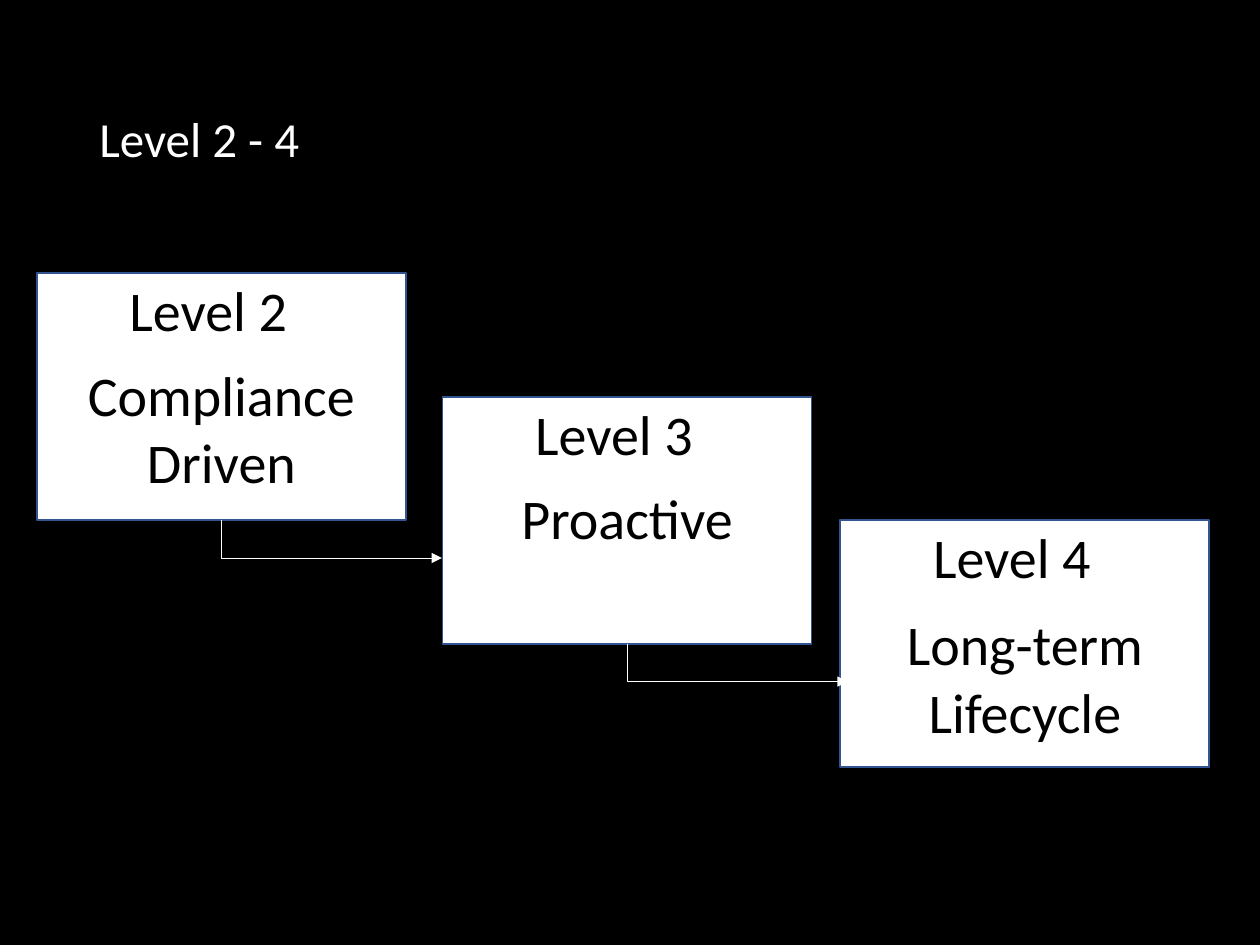
from lxml.etree import SubElement
from pptx import Presentation
from pptx.dml.color import RGBColor
from pptx.enum.shapes import MSO_CONNECTOR as Link, MSO_SHAPE as Shape
from pptx.enum.text import MSO_ANCHOR as Anchor, PP_ALIGN as Align
from pptx.oxml.ns import qn
from pptx.util import Cm, Pt

BOX_WIDTH, BOX_HEIGHT = 7.44, 4.98
FIRST_TOP = 5.51
ARROW_WIDTH, ARROW_DROP = 4.45, 0.76
LEVELS = [
    ("Level 2", "Compliance Driven", 0.74, 1.63, 3),
    ("Level 3", "Proactive", 8.92, 1.63, 1.63),
    ("Level 4", "Long-term Lifecycle", 16.94, 1.68, 3),
]


def color(hex_text):
    return RGBColor.from_string(hex_text)


def write(frame, text, size=32, ink="000000", font="Calibri",
          align=Align.LEFT, anchor=Anchor.TOP, spacing=None):
    frame.word_wrap = True
    frame.vertical_anchor = anchor
    para = frame.paragraphs[0]
    para.alignment = align
    para.line_spacing = spacing
    span = para.add_run()
    span.text = text
    span.font.size = Pt(size)
    span.font.name = font
    span.font.color.rgb = color(ink)


class LevelSlide:
    paper = "FEFFFE"
    backdrop = "000000"
    border = "325491"

    def __init__(self, deck):
        self.page = deck.slides.add_slide(deck.slide_layouts[5])
        fill = self.page.background.fill
        fill.solid()
        fill.fore_color.rgb = color(self.backdrop)

    def title(self, text, left, top, width, height):
        title = self.page.shapes.title
        title.left, title.top = Cm(left), Cm(top)
        title.width, title.height = Cm(width), Cm(height)
        write(title.text_frame, text, size=28, ink=self.paper,
              anchor=Anchor.MIDDLE, spacing=0.9)

    def panel(self, left, top, width, height):
        box = self.page.shapes.add_shape(
            Shape.RECTANGLE, Cm(left), Cm(top), Cm(width), Cm(height))
        box.shadow.inherit = False
        box.fill.solid()
        box.fill.fore_color.rgb = color(self.paper)
        box.line.color.rgb = color(self.border)
        box.line.width = Pt(1)

    def label(self, text, left, top, width, height, **style):
        box = self.page.shapes.add_textbox(
            Cm(left), Cm(top), Cm(width), Cm(height))
        write(box.text_frame, text, **style)

    def down_right_arrow(self, left, top, width, drop):
        center_x, center_y = left + width / 2, top + drop / 2
        arrow = self.page.shapes.add_connector(
            Link.ELBOW,
            Cm(center_x + drop / 2), Cm(center_y - width / 2),
            Cm(center_x - drop / 2), Cm(center_y + width / 2))
        arrow.line.color.rgb = color(self.paper)
        arrow.line.width = Pt(0.5)
        properties = arrow._element.spPr
        properties.find(qn("a:xfrm")).set("rot", "16200000")
        properties.find(qn("a:prstGeom")).set("prst", "bentConnector2")
        SubElement(properties.find(qn("a:ln")), qn("a:tailEnd"), type="triangle")
        SubElement(properties, qn("a:effectLst"))


def main():
    deck = Presentation()
    deck.slide_width, deck.slide_height = Cm(25.4), Cm(19.05)
    slide = LevelSlide(deck)
    slide.title("Level 2 - 4", 1.75, 1.02, 21.9, 3.68)

    tops = [FIRST_TOP + index * BOX_HEIGHT / 2 for index in range(len(LEVELS))]
    for (heading, caption, left, offset, height), top in zip(LEVELS, tops):
        slide.panel(left, top, BOX_WIDTH, BOX_HEIGHT)
        slide.label(heading, left + 1.62, top - 0.08, 4.19, 1.63)
        slide.label(caption, left + 0.74, top + offset, 5.97, height,
                    align=Align.CENTER)

    for level, top in zip(LEVELS[:-1], tops):
        slide.down_right_arrow(level[2] + BOX_WIDTH / 2, top + BOX_HEIGHT,
                               ARROW_WIDTH, ARROW_DROP)

    deck.save("out.pptx")


if __name__ == "__main__":
    main()
